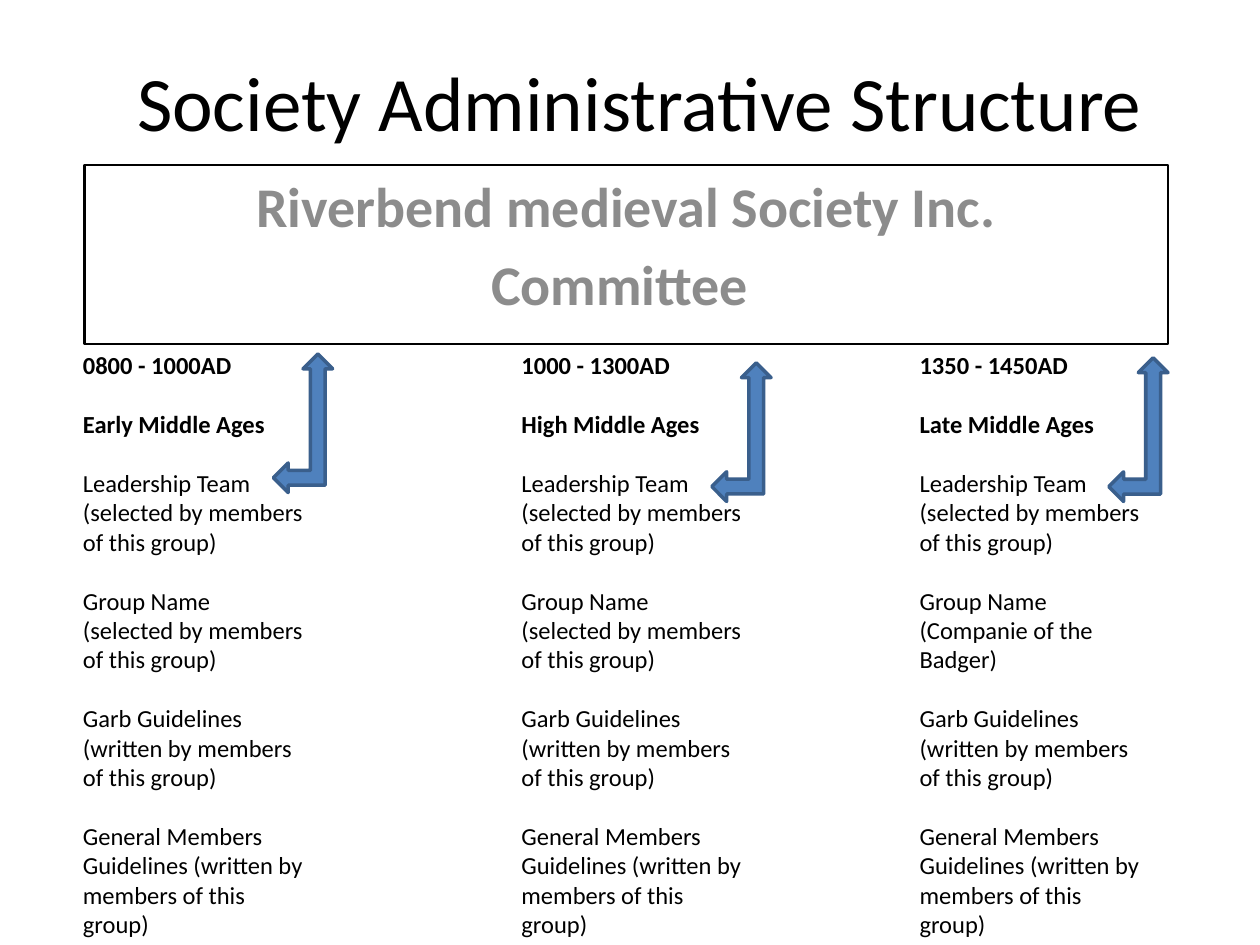
import pptx
import pptx.util
import pptx.dml.color
import pptx.enum.shapes
import pptx.enum.text
from pptx.util import Inches

SHAPES = pptx.enum.shapes.MSO_SHAPE
ALIGN = pptx.enum.text.PP_ALIGN
ANCHOR = pptx.enum.text.MSO_ANCHOR

SELECTED = "(selected by members of this group)"
WRITTEN = "(written by members of this group)"

# text left, dates, age, group name, arrow left, arrow top, arrow height
PERIODS = [
    (0.56, "0800 - 1000AD", "Early Middle Ages", SELECTED, 2.17, 2.81, 1.1),
    (4.04, "1000 - 1300AD", "High Middle Ages", SELECTED, 5.65, 2.88, 1.1),
    (7.2, "1350 - 1450AD", "Late Middle Ages", "(Companie of the Badger)",
     8.8, 2.84, 1.14),
]


def color(value):
    return pptx.dml.color.RGBColor.from_string(value)


def add_paragraph(tf, text, size=14, fill="000000", bold=False,
                  align=ALIGN.LEFT, before=0):
    """Write into the empty first paragraph, or into a new one after it."""
    p = tf.paragraphs[0] if not tf.text else tf.add_paragraph()
    p.alignment = align
    p.space_before = pptx.util.Pt(before)
    r = p.add_run()
    r.text = text
    r.font.name = "Calibri"
    r.font.size = pptx.util.Pt(size)
    r.font.bold = bold
    r.font.color.rgb = color(fill)


def add_text_box(s, left, top, width, height, anchor=ANCHOR.TOP):
    tf = s.shapes.add_textbox(Inches(left), Inches(top),
                              Inches(width), Inches(height)).text_frame
    tf.word_wrap = True
    tf.vertical_anchor = anchor
    return tf


def add_box(s, kind, left, top, width, height, line, weight, fill=None):
    sp = s.shapes.add_shape(kind, Inches(left), Inches(top),
                            Inches(width), Inches(height))
    sp.shadow.inherit = False
    if fill:
        sp.fill.solid()
        sp.fill.fore_color.rgb = color(fill)
    else:
        sp.fill.background()
    sp.line.color.rgb = color(line)
    sp.line.width = pptx.util.Pt(weight)
    return sp


def add_committee(s):
    sp = add_box(s, SHAPES.RECTANGLE, 0.67, 1.31, 8.6, 1.42, "000000", 1.5)
    tf = sp.text_frame
    tf.word_wrap = True
    tf.vertical_anchor = ANCHOR.TOP
    for text in ("Riverbend medieval Society Inc.", "Committee "):
        add_paragraph(tf, text, size=32, fill="8C8C8C", bold=True,
                      align=ALIGN.CENTER, before=6.4)


def add_period(s, left, dates, age, group_name):
    tf = add_text_box(s, left, 2.73, 1.97, 5.05)
    add_paragraph(tf, dates, bold=True)
    add_paragraph(tf, age, bold=True, before=16.8)
    for text in (f"Leadership Team {SELECTED}",
                 f"Group Name {group_name}",
                 f"Garb Guidelines {WRITTEN}",
                 f"General Members Guidelines {WRITTEN}"):
        add_paragraph(tf, text, before=16.8)


def main():
    prs = pptx.Presentation()
    prs.slide_width, prs.slide_height = Inches(10), Inches(7.5)
    s = prs.slides.add_slide(prs.slide_layouts[6])

    add_committee(s)
    for left, dates, age, group_name, *_ in PERIODS:
        add_period(s, left, dates, age, group_name)
    for *_, left, top, height in PERIODS:
        add_box(s, SHAPES.LEFT_UP_ARROW, left, top, 0.47, height,
                "3A5F8C", 2, fill="4F81BD")

    title = add_text_box(s, 0.83, -0.01, 8.5, 1.61, anchor=ANCHOR.MIDDLE)
    add_paragraph(title, "Society Administrative Structure", size=44,
                  align=ALIGN.CENTER)
    prs.save("out.pptx")


if __name__ == "__main__":
    main()
